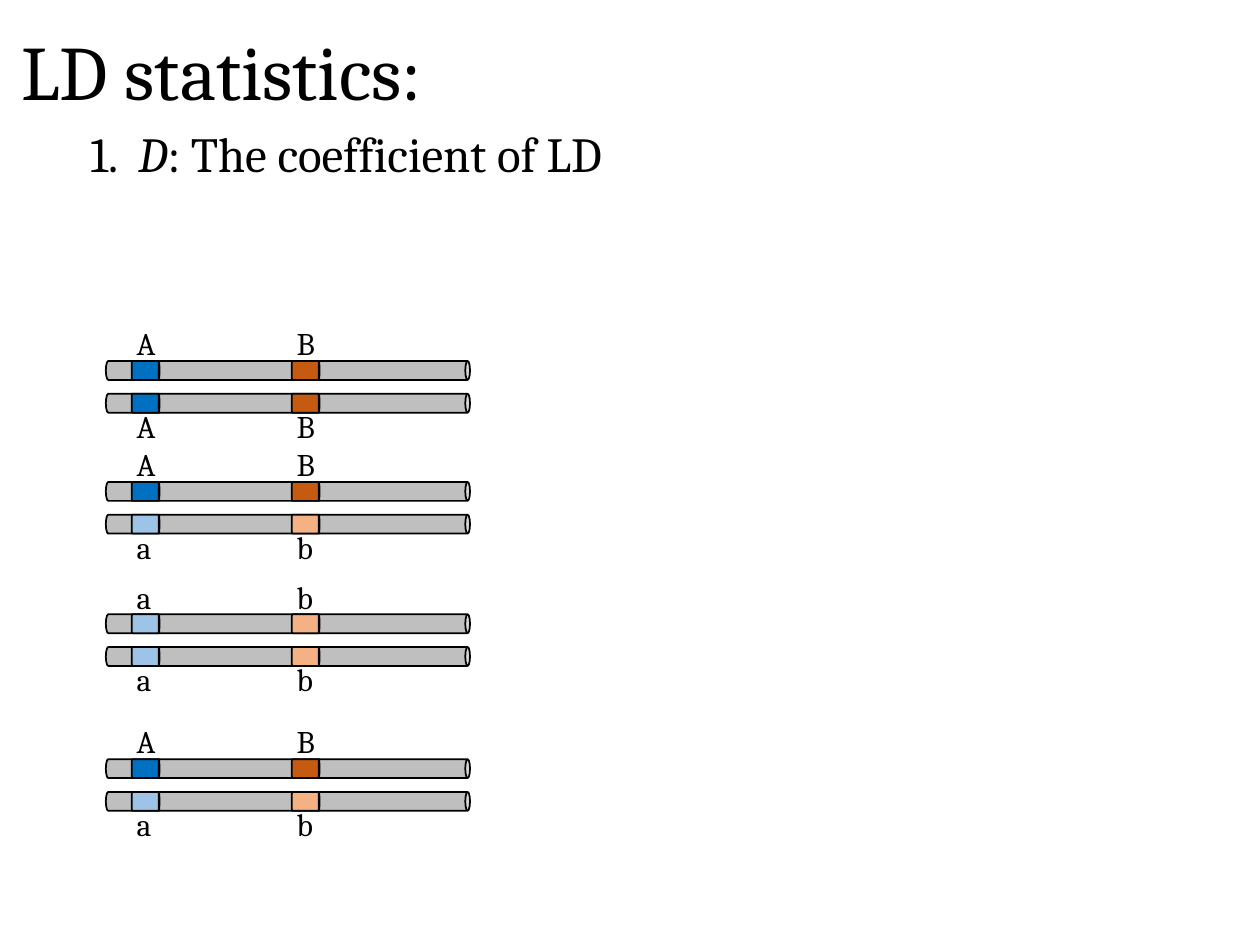
"""Build the slide on the coefficient of linkage disequilibrium, on a grid of 100 columns by 75 rows."""
import dataclasses

import pptx
import pptx.dml.color
import pptx.enum.shapes
import pptx.enum.text
import pptx.util

COLUMNS, ROWS = 100, 75
CELL = pptx.util.Inches(0.1)
FONT = "Cambria"
BLACK, GREY = "000000", "BFBFBF"
ALLELE_COLOURS = {"A": "0070C0", "a": "9DC3E6", "B": "C55A11", "b": "F4B183"}
LOCUS_COLUMNS = (11.55, 24.25)
BAR_COLUMN, BAR_LENGTH, GENE_LENGTH, THICKNESS = 22.85, 28.9, 2.2, 1.5
STRAND_GAP = 2.6
LABEL_OFFSETS = (-4.15, 2.4 - STRAND_GAP)


@dataclasses.dataclass(frozen=True)
class Pair:
    """Two homologous chromosomes with their haplotypes and the row of the upper one."""
    row: float
    haplotypes: tuple[str, str]


PAIRS = (
    Pair(29.4, ("AB", "AB")),
    Pair(39, ("AB", "ab")),
    Pair(49.5, ("ab", "ab")),
    Pair(61, ("AB", "ab")),
)


def grid(cells: float) -> int:
    """Turn a number of grid cells into a length."""
    return pptx.util.Emu(round(cells * CELL))


def colour(code: str) -> pptx.dml.color.RGBColor:
    """Turn a hex string into a colour."""
    return pptx.dml.color.RGBColor.from_string(code)


def format_span(span, size: float, italic: bool = False) -> None:
    """Set the typeface of one run."""
    span.font.name = FONT
    span.font.size = pptx.util.Pt(size)
    span.font.italic = italic
    span.font.color.rgb = colour(BLACK)


def add_text(shapes, column: float, row: float, width: float, height: float,
             text: str, size: float):
    """Add a wrapped text box and return its paragraph."""
    box = shapes.add_textbox(grid(column), grid(row), grid(width), grid(height))
    box.text_frame.word_wrap = True
    box.text_frame.text = text
    para = box.text_frame.paragraphs[0]
    for span in para.runs:
        format_span(span, size)
    return para


def add_can(shapes, column: float, row: float, length: float, fill: str):
    """Add a cylinder lying on its side, centred on a grid point."""
    can = shapes.add_shape(
        pptx.enum.shapes.MSO_SHAPE.CAN,
        grid(column - THICKNESS / 2), grid(row - length / 2), grid(THICKNESS), grid(length))
    can.rotation = 90
    can.shadow.inherit = False
    can.fill.solid()
    can.fill.fore_color.rgb = colour(fill)
    can.line.color.rgb = colour(BLACK)
    can.line.width = pptx.util.Pt(1)
    return can


def add_pair(page, pair: Pair) -> None:
    """Draw one chromosome pair with its genes and allele letters."""
    shapes = page.shapes.add_group_shape().shapes
    for strand, haplotype in enumerate(pair.haplotypes):
        row = pair.row + strand * STRAND_GAP
        add_can(shapes, BAR_COLUMN, row, BAR_LENGTH, GREY)
        for column, allele in zip(LOCUS_COLUMNS, haplotype):
            gene = add_can(shapes, column, row, GENE_LENGTH, ALLELE_COLOURS[allele])
            gene.adjustments[0] = 0.04
            add_text(shapes, column - 1.7, row + LABEL_OFFSETS[strand], 2.2, 4, allele, 18)


def add_headings(page) -> None:
    """Write the title and the numbered subtitle."""
    title = add_text(page.shapes, 0.7, 1, 92.4, 10, "LD statistics:", 44)
    title.line_spacing = 0.9
    page.shapes[0].text_frame.vertical_anchor = pptx.enum.text.MSO_ANCHOR.MIDDLE
    subtitle = add_text(page.shapes, 6.2, 9.8, 89.3, 6.5, "1.\t", 28)
    subtitle.line_spacing = 0.9
    properties = subtitle._p.get_or_add_pPr()
    stops = properties.makeelement(pptx.oxml.ns.qn("a:tabLst"), {})
    stop = stops.makeelement(pptx.oxml.ns.qn("a:tab"), {"pos": str(grid(3.8)), "algn": "l"})
    stops.append(stop)
    properties.append(stops)
    for text, italic in (("D", True), (": The coefficient of LD", False)):
        span = subtitle.add_run()
        span.text = text
        format_span(span, 28, italic)


def main() -> None:
    """Build and save the deck."""
    deck = pptx.Presentation()
    deck.slide_width, deck.slide_height = grid(COLUMNS), grid(ROWS)
    page = deck.slides.add_slide(deck.slide_layouts[6])
    add_headings(page)
    for pair in PAIRS:
        add_pair(page, pair)
    deck.save("out.pptx")


if __name__ == "__main__":
    main()
